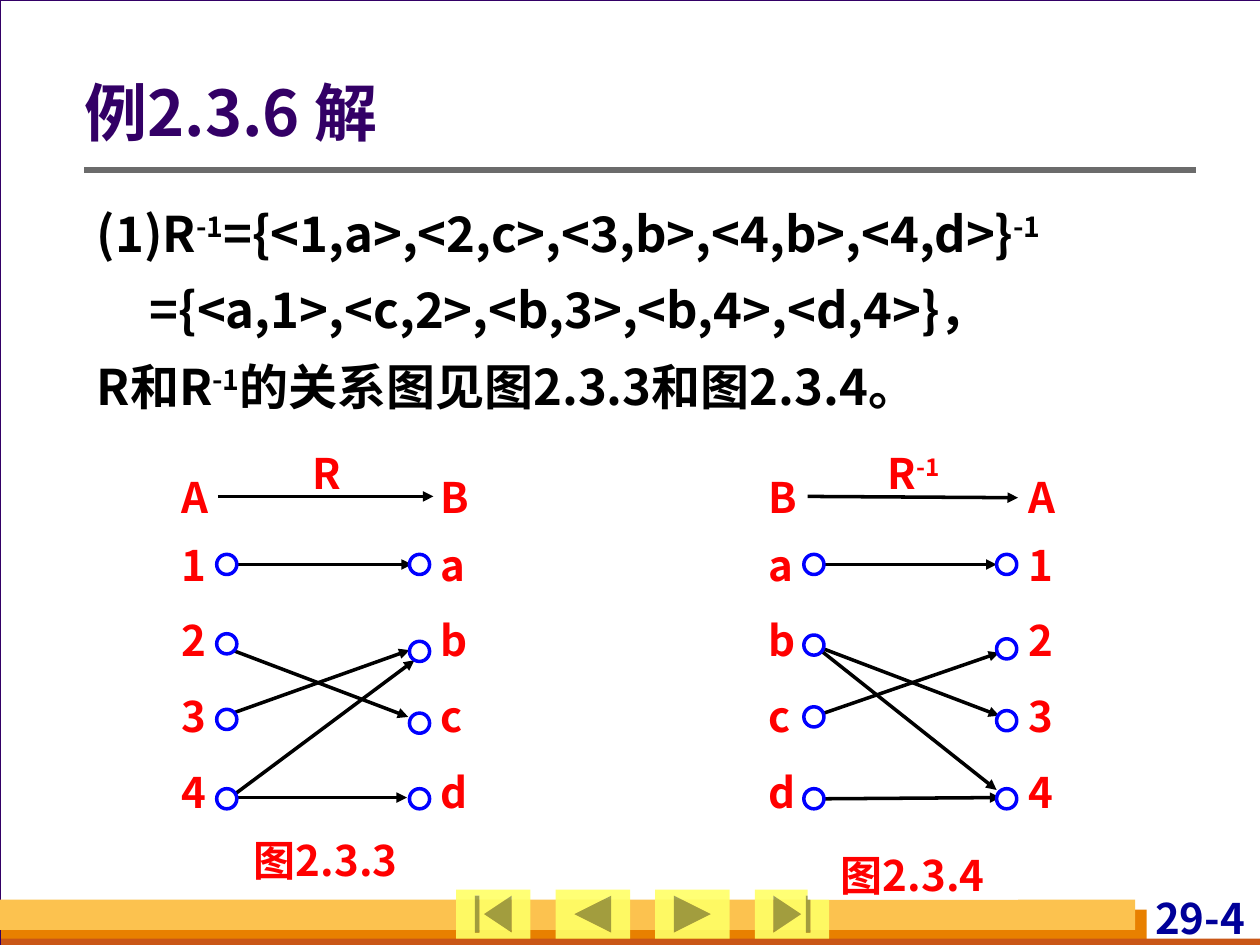
"""Build the slide showing a relation, its inverse and their two arrow diagrams."""
from dataclasses import dataclass
from typing import NamedTuple, Optional

from lxml import etree
from pptx import Presentation
from pptx.dml.color import RGBColor
from pptx.enum.shapes import MSO_CONNECTOR, MSO_SHAPE
from pptx.enum.text import MSO_ANCHOR, PP_ALIGN
from pptx.oxml.ns import qn
from pptx.util import Inches, Pt

STRAIGHT = MSO_CONNECTOR.STRAIGHT
RECTANGLE, OVAL = MSO_SHAPE.RECTANGLE, MSO_SHAPE.OVAL
NAVIGATION = (
    MSO_SHAPE.ACTION_BUTTON_BEGINNING,
    MSO_SHAPE.ACTION_BUTTON_BACK_OR_PREVIOUS,
    MSO_SHAPE.ACTION_BUTTON_FORWARD_OR_NEXT,
    MSO_SHAPE.ACTION_BUTTON_END,
)
LEFT, CENTER, RIGHT, JUSTIFY = PP_ALIGN.LEFT, PP_ALIGN.CENTER, PP_ALIGN.RIGHT, PP_ALIGN.JUSTIFY
TOP, MIDDLE = MSO_ANCHOR.TOP, MSO_ANCHOR.MIDDLE

FONT = "Noto Sans CJK SC"
WHITE, BLACK, RED, BLUE, PURPLE = "FFFFFF", "000000", "FF0000", "0000FF", "330066"
NO_INSETS = (0, 0, 0, 0)
LABEL_TOPS = (3.74, 4.28, 4.88, 5.48, 6.08)
LABEL_WIDTH, LABEL_HEIGHT, LABEL_GAP = 0.24, 0.4, 2.06
NODE_SIZE, NODE_OFFSET, NODE_GAP = 0.16, 0.28, 1.53


class Box(NamedTuple):
    """Left, top, width and height in inches."""
    left: float
    top: float
    width: float
    height: float

    def lengths(self):
        """Return the four values as lengths."""
        return [Inches(value) for value in self]


class Arrow(NamedTuple):
    """Start and end points in inches."""
    x1: float
    y1: float
    x2: float
    y2: float


class Part(NamedTuple):
    """A stretch of text, raised or not."""
    text: str
    raised: bool = False


class Style(NamedTuple):
    """Size, colour and alignment of a text."""
    size: float
    color: str
    align: PP_ALIGN = LEFT
    spacing: float = 1.0


@dataclass
class Diagram:
    """A relation drawn as arrows between two columns of nodes."""
    left: float
    domain: str
    codomain: str
    name: list[Part]
    name_box: Box
    caption: str
    caption_box: Box
    domain_tops: tuple[float, ...]
    codomain_tops: tuple[float, ...]
    arrows: list[Arrow]


DIAGRAMS = [
    Diagram(
        1.44, "A1234", "Babcd", [Part("R")], Box(2.47, 3.55, 0.24, 0.4),
        "图2.3.3", Box(1.75, 6.62, 1.67, 0.4),
        (4.4, 5.03, 5.63, 6.26), (4.4, 5.09, 5.66, 6.26),
        [Arrow(1.73, 3.94, 3.44, 3.94), Arrow(1.82, 4.48, 3.27, 4.48),
         Arrow(1.79, 5.14, 3.24, 5.69), Arrow(1.82, 5.67, 3.25, 5.16),
         Arrow(1.8, 6.35, 3.29, 5.24), Arrow(1.82, 6.33, 3.23, 6.33)],
    ),
    Diagram(
        6.1, "Babcd", "A1234", [Part("R"), Part("-1", True)], Box(6.93, 3.55, 0.64, 0.4),
        "图2.3.4", Box(6.41, 6.74, 1.67, 0.4),
        (4.4, 5.04, 5.61, 6.26), (4.4, 5.07, 5.64, 6.26),
        [Arrow(6.41, 3.94, 8.08, 3.95), Arrow(6.52, 4.48, 7.91, 4.48),
         Arrow(6.51, 5.14, 7.93, 5.68), Arrow(6.46, 5.12, 7.91, 6.27),
         Arrow(6.51, 5.67, 7.93, 5.18), Arrow(6.52, 6.34, 7.94, 6.33)],
    ),
]

SOLUTION = [
    [Part("(1)R"), Part("-1", True), Part("={<1,a>,<2,c>,<3,b>,<4,b>,<4,d>}"), Part("-1", True)],
    [Part("={<a,1>,<c,2>,<b,3>,<b,4>,<d,4>}，")],
    [Part("R和R"), Part("-1", True), Part("的关系图见图2.3.3和图2.3.4。")],
]


def paint(color_format, color: str) -> None:
    """Apply a hex colour to a colour format."""
    color_format.rgb = RGBColor.from_string(color)


def add_block(shapes, kind, box: Box, fill: str, line: Optional[str] = None, width: float = 1):
    """Draw a filled preset shape with an optional outline."""
    block = shapes.add_shape(kind, *box.lengths())
    block.shadow.inherit = False
    block.fill.solid()
    paint(block.fill.fore_color, fill)
    if line:
        paint(block.line.color, line)
        block.line.width = Pt(width)
    else:
        block.line.fill.background()
    return block


def add_line(shapes, ends: Arrow, color: str, width: float, headed: bool) -> None:
    """Draw a straight line, with an arrowhead if headed."""
    line = shapes.add_connector(STRAIGHT, *[Inches(value) for value in ends])
    paint(line.line.color, color)
    line.line.width = Pt(width)
    if headed:
        etree.SubElement(line.line._get_or_add_ln(), qn("a:tailEnd"), type="triangle")
    etree.SubElement(line._element.spPr, qn("a:effectLst"))


def add_text(shapes, box: Box, lines: list[list[Part]], style: Style,
             insets=NO_INSETS, anchor=TOP, wrap: bool = True, fill: Optional[str] = None):
    """Write bold paragraphs made of normal and raised parts."""
    holder = shapes.add_textbox(*box.lengths())
    if fill:
        holder.fill.solid()
        paint(holder.fill.fore_color, fill)
    frame = holder.text_frame
    frame.word_wrap, frame.vertical_anchor = wrap, anchor
    frame.margin_left, frame.margin_top, frame.margin_right, frame.margin_bottom = (
        Inches(inset) for inset in insets)
    for index, parts in enumerate(lines):
        paragraph = frame.add_paragraph() if index else frame.paragraphs[0]
        paragraph.alignment, paragraph.line_spacing = style.align, style.spacing
        if index:
            paragraph.space_before = Pt(3.5)
        for part in parts:
            run = paragraph.add_run()
            run.text = part.text
            run.font.size, run.font.bold, run.font.name = Pt(style.size), True, FONT
            paint(run.font.color, style.color)
            properties = run.font._element
            etree.SubElement(properties, qn("a:ea"), typeface=FONT)
            if part.raised:
                properties.set("baseline", "30000")
    return frame


def draw_frame(slide) -> None:
    """Draw the background, footer bars, page number, rule and navigation."""
    slide.background.fill.solid()
    paint(slide.background.fill.fore_color, "D8DADA")
    add_block(slide.shapes, RECTANGLE, Box(0, 0, 10.01, 7.5), WHITE, PURPLE, 0.75)
    add_block(slide.shapes, RECTANGLE, Box(0.01, 7.22, 9.09, 0.28), "E88000")
    add_block(slide.shapes, RECTANGLE, Box(0.01, 7.45, 10, 0.08), "C95616")
    add_block(slide.shapes, RECTANGLE, Box(0, 7.14, 9.01, 0.24), "FCC24F")
    add_text(slide.shapes, Box(8.47, 7.08, 1.45, 0.4), [[Part("29-4")]],
             Style(24, "000099", RIGHT), (0.04, 0, 0.04, 0))
    add_line(slide.shapes, Arrow(0.67, 1.35, 9.49, 1.35), "6B6B6B", 3, False)
    for index, kind in enumerate(NAVIGATION):
        button = add_block(slide.shapes, kind, Box(3.62 + 0.79 * index, 7.06, 0.59, 0.39), "FFFF66")
        color = button._element.spPr.find(qn("a:solidFill"))[0]
        etree.SubElement(color, qn("a:alpha"), val="90000")


def draw_diagram(slide, diagram: Diagram) -> None:
    """Draw one relation as a group."""
    shapes = slide.shapes.add_group_shape().shapes
    centered, plain = Style(24, RED, CENTER), Style(24, RED)
    add_text(shapes, diagram.caption_box, [[Part(diagram.caption)]], centered, fill=WHITE)
    add_text(shapes, diagram.name_box, [diagram.name], centered, fill=WHITE)
    for arrow in diagram.arrows:
        add_line(shapes, arrow, BLACK, 2, True)
    columns = ((diagram.domain, diagram.domain_tops), (diagram.codomain, diagram.codomain_tops))
    for column, (labels, node_tops) in enumerate(columns):
        label_left = diagram.left + LABEL_GAP * column
        for label, top in zip(labels, LABEL_TOPS):
            add_text(shapes, Box(label_left, top, LABEL_WIDTH, LABEL_HEIGHT),
                     [[Part(label)]], plain, wrap=False)
        node_left = diagram.left + NODE_OFFSET + NODE_GAP * column
        for top in node_tops:
            add_block(shapes, OVAL, Box(node_left, top, NODE_SIZE, NODE_SIZE), WHITE, BLUE, 2)


def main() -> None:
    """Build and save the slide."""
    deck = Presentation()
    deck.slide_width, deck.slide_height = Inches(10), Inches(7.5)
    slide = deck.slides.add_slide(deck.slide_layouts[6])
    draw_frame(slide)
    add_text(slide.shapes, Box(0.67, 0.6, 8.82, 0.64), [[Part("例2.3.6 解")]],
             Style(36, PURPLE, spacing=0.9), (0, 0.05, 0.1, 0.05), MIDDLE)
    solution = add_text(slide.shapes, Box(0.67, 1.47, 8.82, 3), SOLUTION,
                        Style(28, BLACK, JUSTIFY, 1.2), (0.1, 0.05, 0.1, 0.05))
    solution.paragraphs[1]._p.get_or_add_pPr().set("marL", str(Inches(0.42)))
    for diagram in DIAGRAMS:
        draw_diagram(slide, diagram)
    deck.save("out.pptx")


if __name__ == "__main__":
    main()
